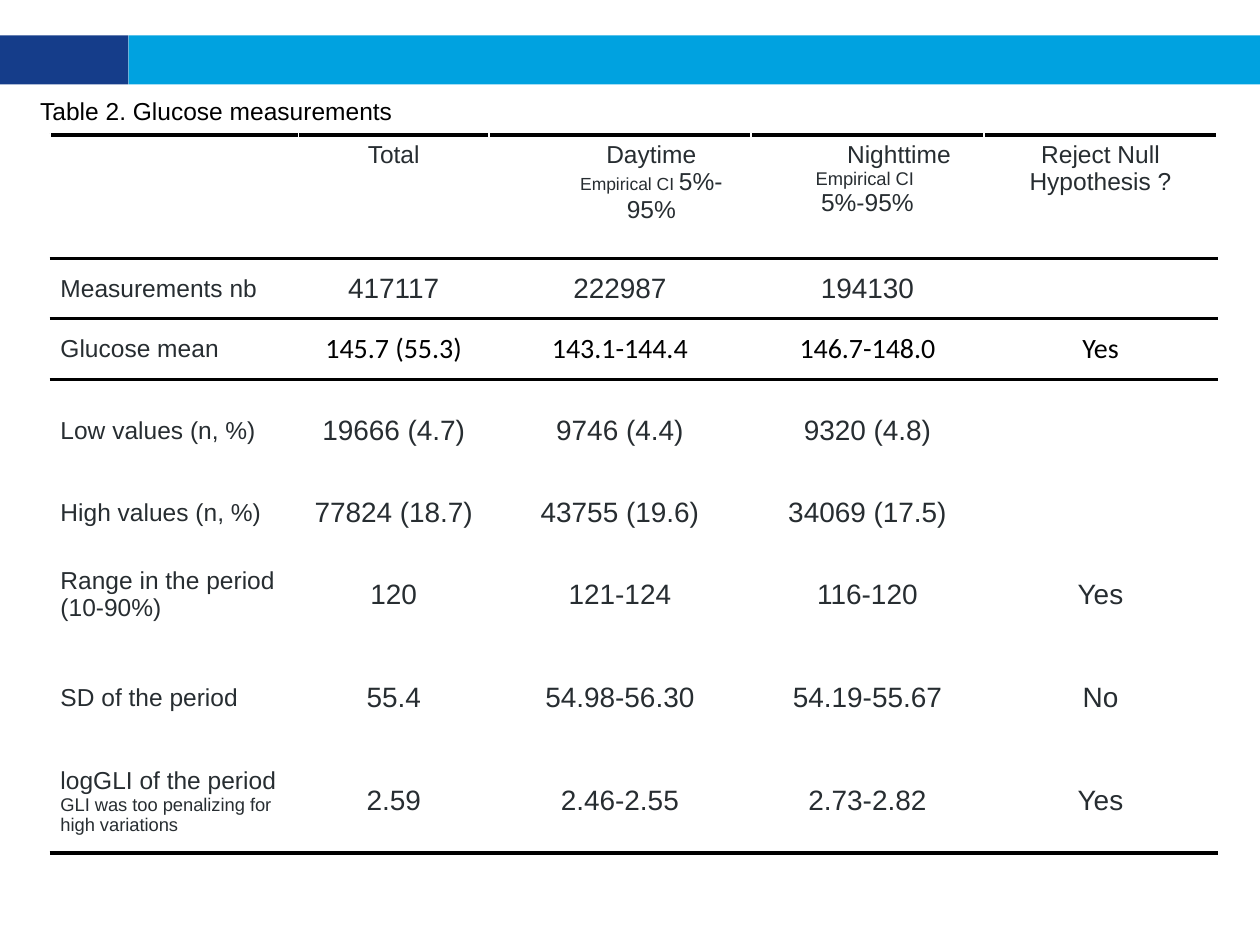
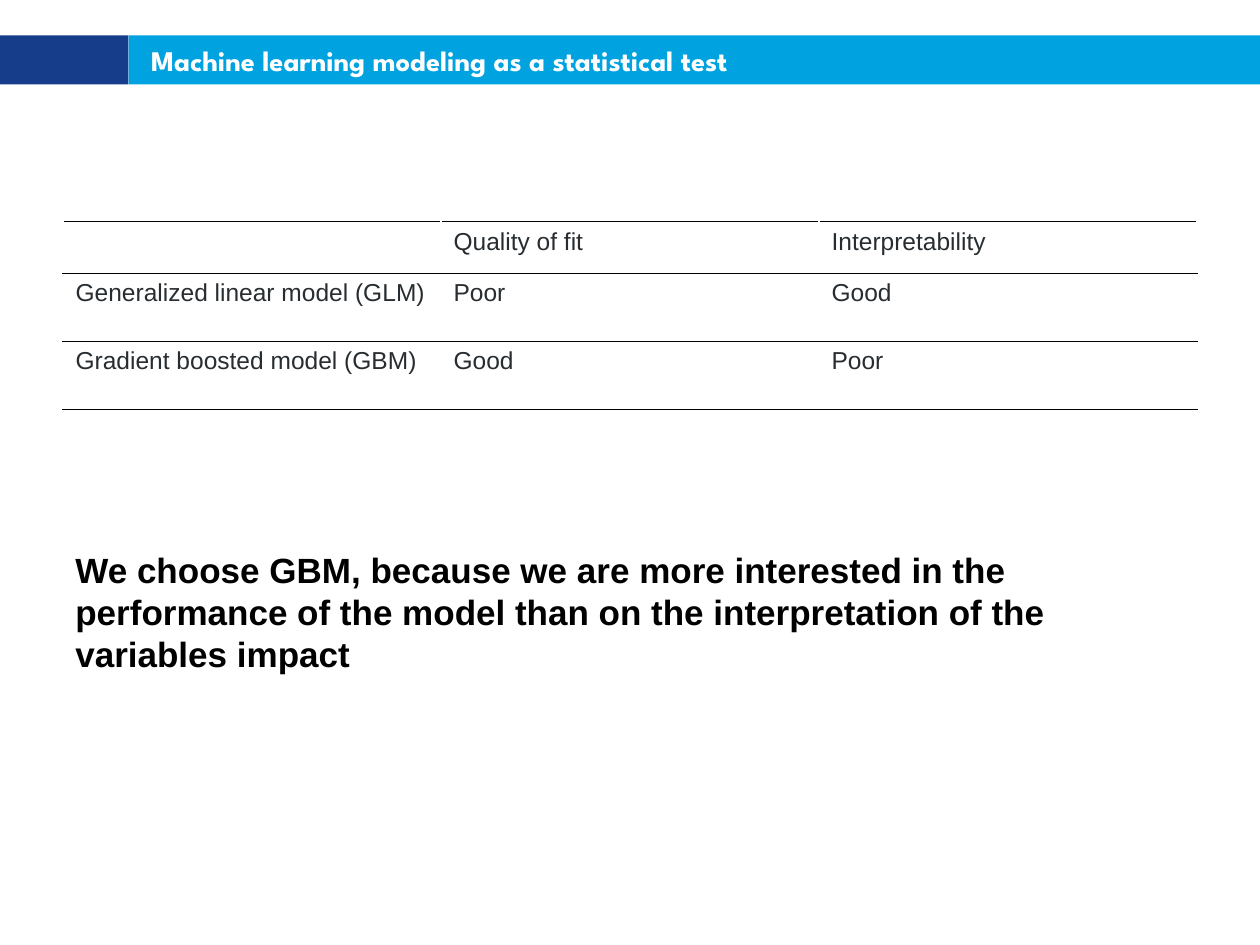
import dataclasses
import pptx
import pptx.dml.color
import pptx.enum.shapes
import pptx.enum.text
import pptx.oxml
import pptx.oxml.ns
import pptx.util

Inches = pptx.util.Inches
Pt = pptx.util.Pt
ALIGN = pptx.enum.text.PP_ALIGN
ANCHOR = pptx.enum.text.MSO_ANCHOR
AUTO_SIZE = pptx.enum.text.MSO_AUTO_SIZE


@dataclasses.dataclass(frozen=True)
class Theme:
    navy: str = "153D8A"
    sky: str = "00A2E0"
    ink: str = "272D31"
    black: str = "000000"
    white: str = "FFFFFF"
    body_font: str = "Arial"
    value_font: str = "Calibri"
    title_font: str = "League Spartan"
    title_size: float = 16.2
    statement_size: float = 20
    value_size: float = 16
    label_size: float = 14
    note_size: float = 10.5
    small_size: float = 10


def color(value):
    return pptx.dml.color.RGBColor.from_string(value)


def apply(target, values):
    for name, value in values.items():
        setattr(target, name, value)


class Deck:
    def __init__(self, theme):
        self.theme = theme
        self.presentation = pptx.Presentation()
        apply(self.presentation, {"slide_width": Inches(10), "slide_height": Inches(7.5)})
        self.slide = None

    def add_slide(self, title=None):
        theme = self.theme
        self.slide = self.presentation.slides.add_slide(self.presentation.slide_layouts[6])
        self.band(0, 1.02, theme.navy)
        self.band(1.02, 8.98, theme.sky)
        if title:
            frame = self.text(title, 1.1, 0.28, 8.58, 0.39, theme.title_size,
                              theme.title_font, theme.white, bold=True)
            apply(frame, {"vertical_anchor": ANCHOR.MIDDLE, "margin_top": Inches(0.1),
                          "margin_bottom": Inches(0.1)})

    def band(self, left, width, fill):
        shape = self.slide.shapes.add_shape(
            pptx.enum.shapes.MSO_SHAPE.RECTANGLE,
            Inches(left), Inches(0.28), Inches(width), Inches(0.39))
        shape.shadow.inherit = False
        shape.fill.solid()
        shape.fill.fore_color.rgb = color(fill)
        shape.line.fill.background()

    def run(self, paragraph, text, size, font, ink, bold=False):
        run = paragraph.add_run()
        run.text = text
        apply(run.font, {"size": Pt(size), "name": font, "bold": bold})
        run.font.color.rgb = color(ink)

    def text(self, text, left, top, width, height, size, font, ink, bold=False,
             wrap=True, auto_size=AUTO_SIZE.NONE):
        shape = self.slide.shapes.add_textbox(
            Inches(left), Inches(top), Inches(width), Inches(height))
        frame = shape.text_frame
        apply(frame, {"word_wrap": wrap, "auto_size": auto_size})
        self.run(frame.paragraphs[0], text, size, font, ink, bold)
        return frame

    def table(self, left, top, columns, heights):
        frame = self.slide.shapes.add_table(
            len(heights), len(columns), Inches(left), Inches(top),
            Inches(sum(columns)), Inches(sum(heights)))
        table = frame.table
        apply(table, {"first_row": False, "horz_banding": False})
        for column, width in zip(table.columns, columns):
            column.width = Inches(width)
        for row, height in zip(table.rows, heights):
            row.height = Inches(height)
        return table

    def rules(self, table, levels, width):
        for row_index, row in enumerate(table.rows):
            for cell in row.cells:
                for side, level in (("T", row_index), ("B", row_index + 1)):
                    if level in levels:
                        self.border(cell, side, width)
                cell.fill.background()

    def border(self, cell, side, width):
        namespace = pptx.oxml.ns.nsdecls("a")
        cell._tc.get_or_add_tcPr().append(pptx.oxml.parse_xml(
            f'<a:ln{side} {namespace} w="{Pt(width)}"><a:solidFill>'
            f'<a:srgbClr val="{self.theme.black}"/></a:solidFill></a:ln{side}>'))

    def cell(self, cell, paragraphs, size, align=ALIGN.LEFT, anchor=ANCHOR.TOP,
             font=None, ink=None, side_margin=0.1, indents=()):
        theme = self.theme
        apply(cell, {"vertical_anchor": anchor, "margin_left": Inches(side_margin),
                     "margin_right": Inches(side_margin)})
        if isinstance(paragraphs, str):
            paragraphs = [[(paragraphs, size)]] if paragraphs else []
        for index, runs in enumerate(paragraphs):
            frame = cell.text_frame
            paragraph = frame.add_paragraph() if index else frame.paragraphs[0]
            paragraph.alignment = align
            if index in indents:
                paragraph._p.get_or_add_pPr().set("marL", str(Inches(0.5)))
            for text, run_size in runs:
                self.run(paragraph, text, run_size, font or theme.body_font, ink or theme.ink)


def glucose_slide(deck):
    theme = deck.theme
    deck.add_slide()
    deck.text("Table 2. Glucose measurements", 0.22, 0.71, 3.48, 0.4, theme.label_size,
              theme.body_font, theme.black, wrap=False, auto_size=AUTO_SIZE.SHAPE_TO_FIT_TEXT)
    label = theme.label_size
    headers = [
        ("", ()),
        ("Total", ()),
        ([[("Daytime", label)],
          [("Empirical CI ", theme.small_size), ("5%-95%", label)]], (0, 1)),
        ([[("Nighttime", label)], [("Empirical CI ", theme.note_size)],
          [("5%-95%", label)]], (0,)),
        ("Reject Null Hypothesis ?", ()),
    ]
    glucose_mean = "Glucose mean"
    gli_label = [[("logGLI of the period", label)],
                 [("GLI was too penalizing for high variations", theme.note_size)]]
    rows = [
        ("Measurements nb", "417117", "222987", "194130", ""),
        (glucose_mean, "145.7 (55.3)", "143.1-144.4", "146.7-148.0", "Yes"),
        ("Low values (n, %)", "19666 (4.7)", "9746 (4.4)", "9320 (4.8)", ""),
        ("High values (n, %)", "77824 (18.7)", "43755 (19.6)", "34069 (17.5)", ""),
        ("Range in the period (10-90%)", "120", "121-124", "116-120", "Yes"),
        ("SD of the period", "55.4", "54.98-56.30", "54.19-55.67", "No"),
        (gli_label, "2.59", "2.46-2.55", "2.73-2.82", "Yes"),
    ]
    short, tall = 0.48, 0.82
    table = deck.table(0.4, 1.07, [1.97, 1.51, 2.08, 1.85, 1.85],
                       [0.98, short, short, tall, short, tall, tall, tall])
    deck.rules(table, {0, 1, 2, 8}, 2.25)
    for column, (content, indents) in enumerate(headers):
        deck.cell(table.cell(0, column), content, label, ALIGN.CENTER,
                  side_margin=0.08, indents=indents)
    for row, (name, *values) in enumerate(rows, 1):
        deck.cell(table.cell(row, 0), name, label, anchor=ANCHOR.MIDDLE, side_margin=0.08)
        style = {"side_margin": 0.01 if row < 5 else 0.08}
        if name == glucose_mean:
            style.update(font=theme.value_font, ink=theme.black)
        for column, value in enumerate(values, 1):
            deck.cell(table.cell(row, column), value, theme.value_size, ALIGN.CENTER,
                      ANCHOR.MIDDLE, **style)


def model_slide(deck):
    theme = deck.theme
    deck.add_slide("Machine learning modeling as a statistical test")
    rows = [
        ("", "Quality of fit", "Interpretability"),
        ("Generalized linear model (GLM)", "Poor", "Good"),
        ("Gradient boosted model (GBM)", "Good", "Poor"),
    ]
    table = deck.table(0.5, 1.76, [3] * 3, [0.41, 0.54, 0.54])
    deck.rules(table, range(4), 1)
    for row, values in enumerate(rows):
        for column, value in enumerate(values):
            deck.cell(table.cell(row, column), value, theme.label_size)
    deck.text("We choose GBM, because we are more interested in the performance of the model "
              "than on the interpretation of the variables impact",
              0.5, 4.3, 9, 1.45, theme.statement_size, theme.body_font, theme.black,
              bold=True, auto_size=AUTO_SIZE.SHAPE_TO_FIT_TEXT)


deck = Deck(Theme())
glucose_slide(deck)
model_slide(deck)
deck.presentation.save("out.pptx")
